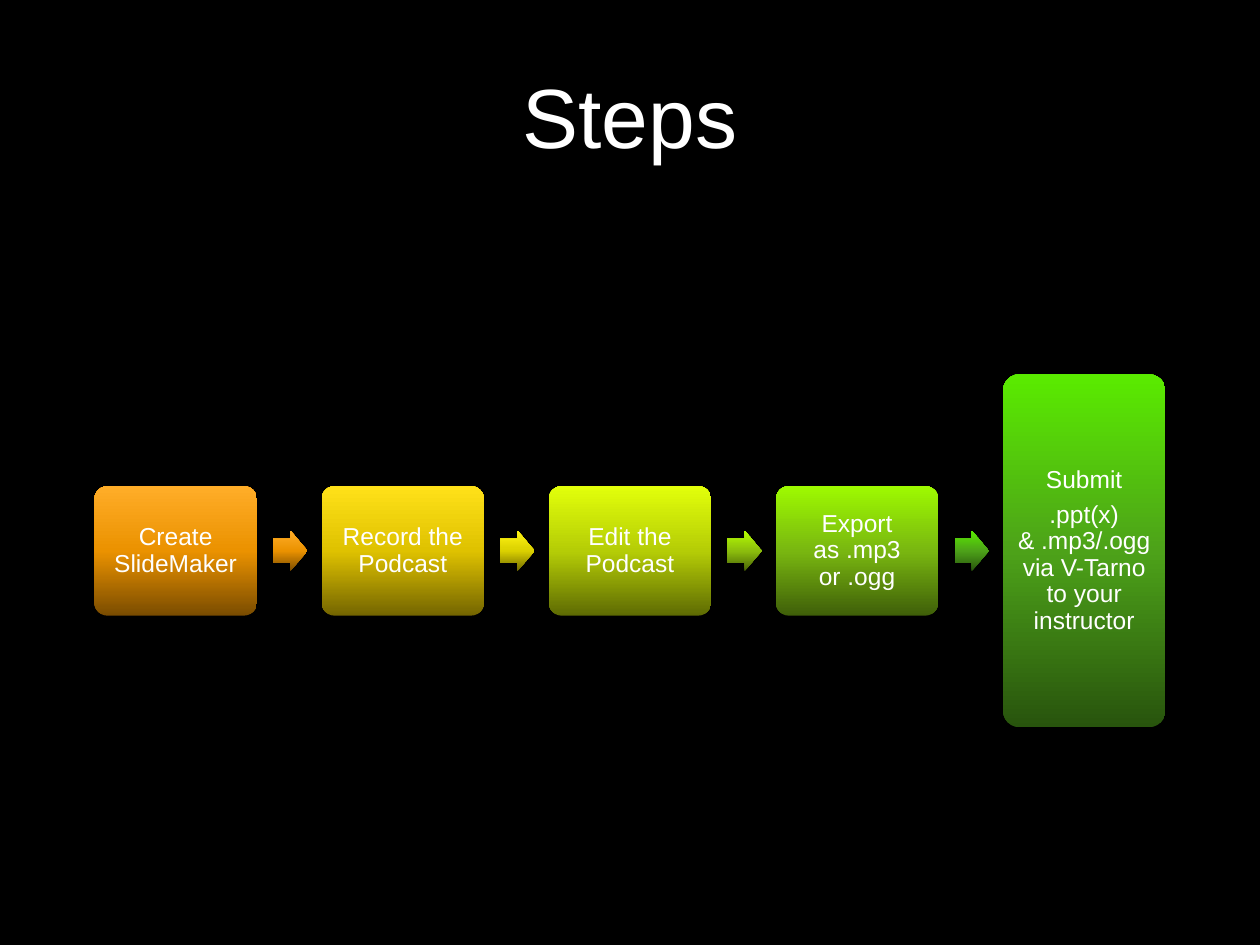
import copy
import pptx
import pptx.util
import pptx.dml.color
import pptx.enum.shapes
import pptx.enum.text

Pt = pptx.util.Pt
SHAPES = pptx.enum.shapes.MSO_SHAPE


def color(value):
    return pptx.dml.color.RGBColor.from_string(value)


def write(frame, lines, size, inset, spacing):
    frame_format = {
        "word_wrap": True,
        "vertical_anchor": pptx.enum.text.MSO_ANCHOR.MIDDLE,
        "margin_left": Pt(inset), "margin_right": Pt(inset),
        "margin_top": Pt(inset), "margin_bottom": Pt(inset),
    }
    for key, value in frame_format.items():
        setattr(frame, key, value)
    frame.text = "\n".join(lines)
    for line in frame.paragraphs:
        for key, value in spacing.items():
            setattr(line, key, value)
        line.alignment = pptx.enum.text.PP_ALIGN.CENTER
        line.font.name = "Arial"
        line.font.size = Pt(size)
        line.font.color.rgb = color("FFFFFF")


deck = pptx.Presentation()
deck.slide_width, deck.slide_height = Pt(720), Pt(540)
slide = deck.slides.add_slide(deck.slide_layouts[6])
slide.background.fill.solid()
slide.background.fill.fore_color.rgb = color("000000")

heading = slide.shapes.add_textbox(Pt(54), Pt(9.4), Pt(612), Pt(112.3))
write(heading.text_frame, ["Steps"], 48, 4, {})

orange = ["7A4C00", "EB9200", "FFAD28"]
gold = ["746500", "DFC200", "FFE119"]
yellow = ["726C00", "DBD100", "FFF414"]
lime = ["5E6B03", "B5CD06", "E2FF0A"]
light_green = ["496307", "8CBE0D", "B6FF00"]
leaf = ["3F5F09", "79B710", "9EFA00"]
green = ["28540D", "4DA219", "5AEB00"]

steps = [
    (["Create SlideMaker"], 74, orange, orange),
    (["Record the Podcast"], 74, gold, yellow),
    (["Edit the Podcast"], 74, lime, light_green),
    (["Export as .mp3 or .ogg"], 74, leaf, green),
    (["Submit", ".ppt(x) & .mp3/.ogg via V-Tarno to your instructor"], 201.6, green, None),
]
first_left, pitch, middle = 54, 129.8, 314.8
step_spacing = {"line_spacing": 0.9, "space_after": Pt(5)}

for index, (lines, step_height, step_colors, arrow_colors) in enumerate(steps):
    left = first_left + index * pitch
    parts = [(SHAPES.ROUNDED_RECTANGLE, left, 92.8, step_height, [0.1], step_colors, lines)]
    if arrow_colors:
        parts.append((SHAPES.RIGHT_ARROW, left + 102.1, 19.6, 23.2, [0.6, 0.5], arrow_colors, None))
    for kind, x, width, height, adjustments, colors, words in parts:
        part = slide.shapes.add_shape(kind, Pt(x), Pt(middle - height / 2), Pt(width), Pt(height))
        part.shadow.inherit = False
        part.line.fill.background()
        for position, value in enumerate(adjustments):
            part.adjustments[position] = value
        part.fill.gradient()
        part.fill.gradient_angle = 90
        stop_list = part.fill._fill._gradFill.gsLst
        stop_list.insert(1, copy.deepcopy(stop_list[0]))
        for stop, position, value in zip(part.fill.gradient_stops, [0, 0.5, 1], colors):
            stop.position = position
            stop.color.rgb = color(value)
        if words:
            write(part.text_frame, words, 14, 4.2, step_spacing)

deck.save("out.pptx")
